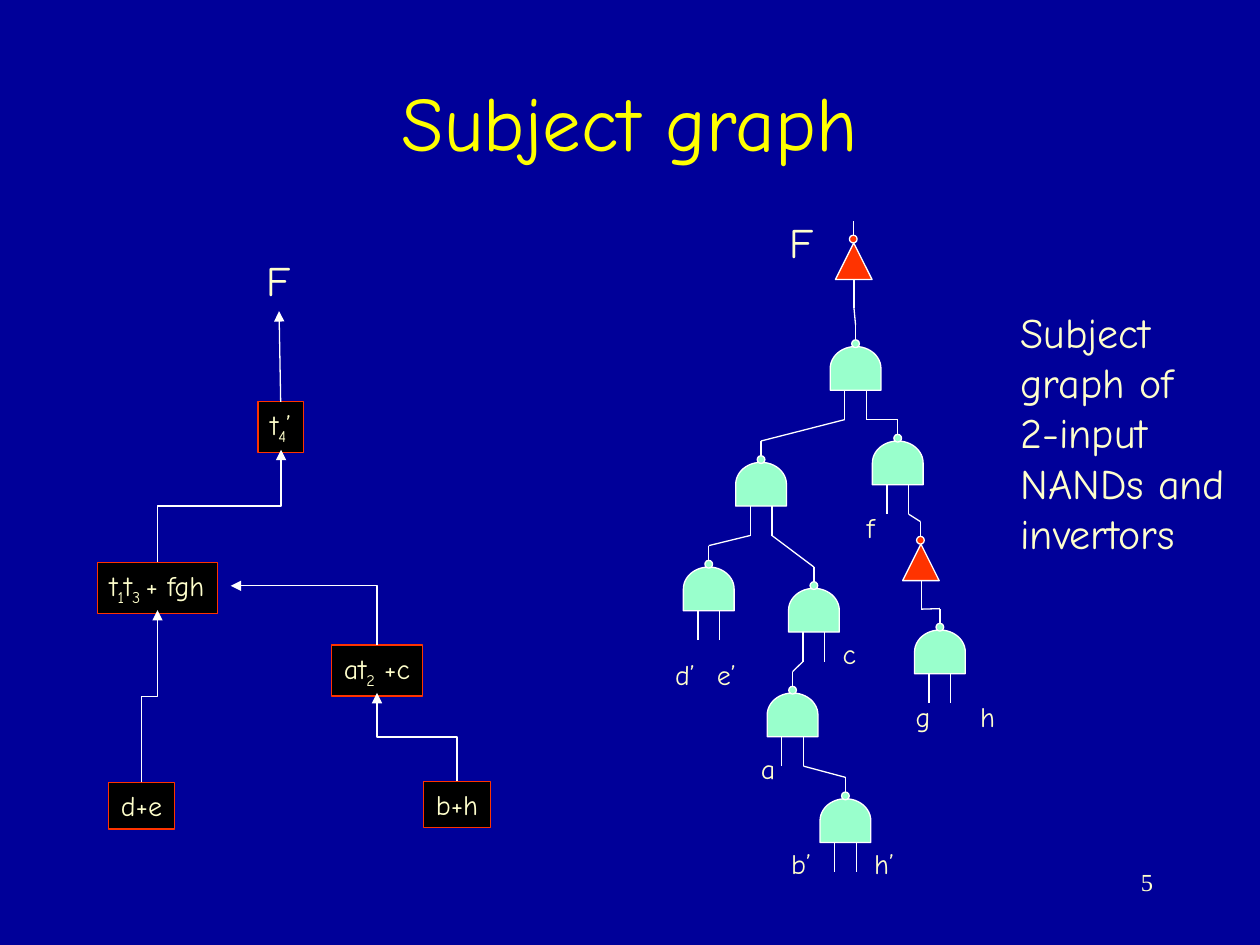
"""Build a slide that sets a Boolean network beside its NAND and inverter subject graph."""
from dataclasses import dataclass

from lxml.etree import SubElement
from pptx import Presentation
from pptx.dml.color import RGBColor
from pptx.enum.shapes import MSO_CONNECTOR, MSO_SHAPE
from pptx.enum.text import MSO_ANCHOR, MSO_AUTO_SIZE, PP_ALIGN
from pptx.oxml.ns import qn
from pptx.util import Pt


@dataclass(frozen=True)
class Theme:
    back: RGBColor = RGBColor(0x00, 0x00, 0x99)
    title: RGBColor = RGBColor(0xFF, 0xFF, 0x00)
    text: RGBColor = RGBColor(0xFF, 0xFF, 0xCC)
    wire: RGBColor = RGBColor(0xFF, 0xFF, 0xFF)
    box: RGBColor = RGBColor(0x00, 0x00, 0x00)
    red: RGBColor = RGBColor(0xFF, 0x33, 0x00)
    nand: RGBColor = RGBColor(0x99, 0xFF, 0xCC)
    font: str = "Comic Neue"
    number_font: str = "Times New Roman"
    title_size: float = 44
    large: float = 24
    small: float = 16
    number_size: float = 14
    line: float = 0.75


class Deck:
    def __init__(self, theme):
        self.t = theme
        self.prs = Presentation()
        self.prs.slide_width, self.prs.slide_height = Pt(720), Pt(540)
        self.s = self.prs.slides.add_slide(self.prs.slide_layouts[5])
        fill = self.s.background.fill
        fill.solid()
        fill.fore_color.rgb = theme.back

    def run(self, p, text, size, color=None, font=None, sub=False):
        r = p.add_run()
        r.text = text
        r.font.size = Pt(size)
        r.font.name = font or self.t.font
        r.font.color.rgb = color or self.t.text
        if sub:
            r._r.get_or_add_rPr().set("baseline", "-25000")

    def frame(self, sp):
        """Set text from the top left, with the right margin left free for it."""
        tf = sp.text_frame
        tf.word_wrap = True
        tf.auto_size = MSO_AUTO_SIZE.NONE
        tf.vertical_anchor = MSO_ANCHOR.TOP
        tf.margin_right = Pt(0)
        tf.paragraphs[0].alignment = PP_ALIGN.LEFT
        return tf

    def title(self, text, x, y, w, h):
        sp = self.s.shapes.title
        sp.left, sp.top, sp.width, sp.height = Pt(x), Pt(y), Pt(w), Pt(h)
        tf = sp.text_frame
        tf.vertical_anchor = MSO_ANCHOR.MIDDLE
        p = tf.paragraphs[0]
        p.alignment = PP_ALIGN.CENTER
        self.run(p, text, self.t.title_size, self.t.title)

    def label(self, lines, x, y, w, h, size):
        sp = self.s.shapes.add_textbox(Pt(x), Pt(y), Pt(w), Pt(h))
        tf = self.frame(sp)
        for i, line in enumerate(lines):
            p = tf.add_paragraph() if i else tf.paragraphs[0]
            self.run(p, line, size)
        return sp

    def number(self, text, x, y, w, h):
        tf = self.s.shapes.add_textbox(Pt(x), Pt(y), Pt(w), Pt(h)).text_frame
        tf.word_wrap = True
        p = tf.paragraphs[0]
        p.alignment = PP_ALIGN.RIGHT
        self.run(p, text, self.t.number_size, font=self.t.number_font)

    def shape(self, shapes, kind, x, y, w, h, fill, line, rotation=0):
        sp = shapes.add_shape(kind, Pt(x), Pt(y), Pt(w), Pt(h))
        sp.shadow.inherit = False
        sp.rotation = rotation
        sp.fill.solid()
        sp.fill.fore_color.rgb = fill
        sp.line.color.rgb = line
        sp.line.width = Pt(self.t.line)
        return sp

    def box(self, parts, x, y, w, h):
        """Draw a formula box; every second part is a subscript."""
        sp = self.shape(self.s.shapes, MSO_SHAPE.RECTANGLE, x, y, w, h, self.t.box, self.t.red)
        p = self.frame(sp).paragraphs[0]
        for i, part in enumerate(parts):
            self.run(p, part, self.t.small, sub=i % 2 == 1)
        return sp

    def wire(self, shapes, start, end, kind=MSO_CONNECTOR.STRAIGHT, arrow=False):
        c = shapes.add_connector(kind, *map(Pt, (*start, *end)))
        c.line.color.rgb = self.t.wire
        c.line.width = Pt(self.t.line)
        if arrow:
            SubElement(c.line._get_or_add_ln(), qn("a:tailEnd"), type="triangle")
        SubElement(c._element.spPr, qn("a:effectLst"))
        return c

    def arrow(self, source, target):
        """Join two shapes, from the top of one to the bottom of the other."""
        c = self.wire(self.s.shapes, (0, 0), (1, 1), arrow=True)
        c.begin_connect(source, 0)
        c.end_connect(target, 2)

    def elbow(self, start, end, preset="bentConnector3"):
        """Draw an arrow that leaves upwards, as a quarter-turned elbow connector."""
        (x1, y1), (x2, y2) = start, end
        cx, cy = (x1 + x2) / 2, (y1 + y2) / 2
        dx, dy = (x1 - x2) / 2, (y1 - y2) / 2
        c = self.wire(self.s.shapes, (cx - dy, cy + dx), (cx + dy, cy - dx), MSO_CONNECTOR.ELBOW, True)
        spPr = c._element.spPr
        spPr.find(qn("a:xfrm")).set("rot", "16200000")
        spPr.find(qn("a:prstGeom")).set("prst", preset)

    def gate(self, x, y, inverter=False):
        """Draw a gate below its output point and return its input points."""
        shapes = self.s.shapes.add_group_shape().shapes
        if inverter:
            fill, pins, top, bottom = self.t.red, [0.4], 33.3, 50
            self.shape(shapes, MSO_SHAPE.ISOSCELES_TRIANGLE, x - 10.2, y + 12.8, 20.9, 20.9, fill, self.t.wire)
        else:
            fill, pins, top, bottom = self.t.nand, [-6.2, 6.2], 37.3, 54
            self.shape(shapes, MSO_SHAPE.FLOWCHART_DELAY, x - 12.5, y + 10.2, 25, 29, fill, self.t.wire, 270)
        for dx in pins:
            self.wire(shapes, (x + dx, y + bottom), (x + dx, y + top))
        self.shape(shapes, MSO_SHAPE.OVAL, x - 2.2, y + 8.4, 4.4, 4.4, fill, self.t.wire, 270)
        self.wire(shapes, (x, y + 8.4), (x, y))
        return [(x + dx, y + bottom) for dx in pins]


def main():
    t = Theme()
    d = Deck(t)
    d.title("Subject graph", 54, 24, 612, 90)

    d.box(["d+e"], 62, 447.1, 37.8, 26.6)
    d.box(["b+h"], 242, 446.4, 38.2, 26.6)
    t4 = d.box(["t", "4", "’"], 147.4, 229.6, 26, 29.2)
    d.box(["at", "2", " +c"], 189.5, 368.6, 52, 29.2)
    d.box(["t", "1", "t", "3 ", "+ fgh"], 55.6, 321.3, 68.6, 29.2)
    d.elbow((261.2, 446.4), (215.4, 396))
    d.elbow((80.8, 447.1), (90, 348.6))
    d.elbow((215.4, 368.6), (131.8, 334.8), "bentConnector2")
    d.elbow((90, 321.3), (160.6, 257))
    f = d.label(["F"], 145.4, 141.8, 28.1, 36, t.large)
    d.arrow(t4, f)

    gates = {
        "root": (487.6, 126, True, None, 0),
        "top": (488.9, 185.8, False, "root", 0),
        "left": (434.9, 252, False, "top", 0),
        "right": (513, 239.8, False, "top", 1),
        "de": (405, 311.8, False, "left", 0),
        "c": (465.1, 324, False, "left", 1),
        "a": (452.9, 383.8, False, "c", 0),
        "bh": (483.1, 444.2, False, "a", 1),
        "inv": (526, 298.1, True, "right", 1),
        "gh": (537.1, 347.8, False, "inv", 0),
    }
    pins = {name: d.gate(x, y, inverter) for name, (x, y, inverter, _, _) in gates.items()}
    for x, y, _, parent, pin in gates.values():
        if parent:
            d.wire(d.s.shapes, (x, y), pins[parent][pin])

    for text, x, y, w in [
        ("b’", 445, 480.2, 25.9), ("h’", 492.5, 480.2, 25.9), ("a", 427.7, 426.2, 22.3),
        ("d’", 378.7, 372.2, 25.9), ("e’", 402.5, 372.2, 25.2), ("h", 553, 396, 23),
        ("g", 516.2, 396, 22.3), ("f", 488.2, 288, 18.7), ("c", 474.5, 360, 21.6),
    ]:
        d.label([text], x, y, w, 26.6, t.small)
    d.label(["Subject", "graph of", "2-input", "NANDs and", "invertors"], 576, 171.4, 131, 151.2, t.large)
    d.label(["F"], 444.2, 120.2, 28.1, 36, t.large)
    d.number("5", 516.2, 491.8, 149.8, 36)
    d.prs.save("out.pptx")


if __name__ == "__main__":
    main()
